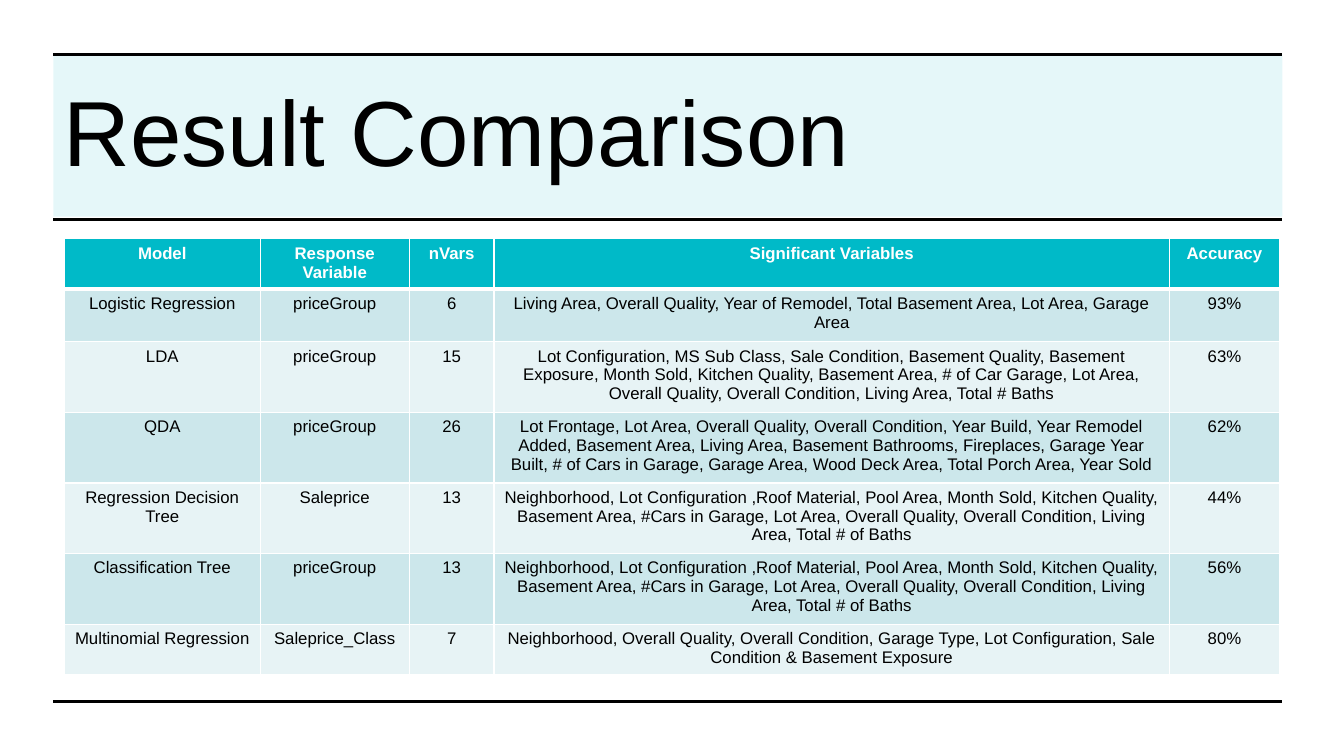
import lxml.etree
import pptx
import pptx.dml.color
import pptx.enum.shapes
import pptx.enum.text
import pptx.oxml.ns
import pptx.util

Inches = pptx.util.Inches
Pt = pptx.util.Pt
qn = pptx.oxml.ns.qn

COLORS = {
    "white": "FFFFFF",
    "black": "000000",
    "teal": "00BAC8",
    "band_dark": "CCE7EB",
    "band_light": "E7F3F5",
}
FONT = "Arial"

TREE_VARIABLES = (
    "Neighborhood, Lot Configuration ,Roof Material, Pool Area, Month Sold, Kitchen Quality, "
    "Basement Area, #Cars in Garage, Lot Area, Overall Quality, Overall Condition, Living Area, "
    "Total # of Baths"
)
RESULTS = [
    ("Model", "Response Variable", "nVars", "Significant Variables", "Accuracy"),
    ("Logistic Regression", "priceGroup", "6",
     "Living Area, Overall Quality, Year of Remodel, Total Basement Area, Lot Area, Garage Area",
     "93%"),
    ("LDA", "priceGroup", "15",
     "Lot Configuration, MS Sub Class, Sale Condition, Basement Quality, Basement Exposure, "
     "Month Sold, Kitchen Quality, Basement Area, # of Car Garage, Lot Area, Overall Quality, "
     "Overall Condition, Living Area, Total # Baths",
     "63%"),
    ("QDA", "priceGroup", "26",
     "Lot Frontage, Lot Area, Overall Quality, Overall Condition, Year Build, Year Remodel Added, "
     "Basement Area, Living Area, Basement Bathrooms, Fireplaces, Garage Year Built, "
     "# of Cars in Garage, Garage Area, Wood Deck Area, Total Porch Area, Year Sold",
     "62%"),
    ("Regression Decision Tree", "Saleprice", "13", TREE_VARIABLES, "44%"),
    ("Classification Tree", "priceGroup", "13", TREE_VARIABLES, "56%"),
    ("Multinomial Regression", "Saleprice_Class", "7",
     "Neighborhood, Overall Quality, Overall Condition, Garage Type, Lot Configuration, "
     "Sale Condition & Basement Exposure",
     "80%"),
]
COLUMN_WIDTHS = [1.94, 1.48, 0.84, 6.7, 1.09]
ROW_HEIGHTS = [0.47, 0.52, 0.66, 0.66, 0.66, 0.66, 0.49]


def rgb(name):
    return pptx.dml.color.RGBColor.from_string(COLORS[name])


class SlideBuilder:
    def __init__(self, slide):
        self.slide = slide

    def style_run(self, r, size, color, bold=False):
        r.font.name = FONT
        r.font.size = Pt(size)
        r.font.bold = bold
        r.font.color.rgb = rgb(color)

    def rectangle(self, left, top, width, height, color, opacity=100):
        sp = self.slide.shapes.add_shape(
            pptx.enum.shapes.MSO_SHAPE.RECTANGLE,
            Inches(left), Inches(top), Inches(width), Inches(height))
        sp.shadow.inherit = False
        sp.line.fill.background()
        sp.fill.solid()
        sp.fill.fore_color.rgb = rgb(color)
        if opacity < 100:
            clr = sp.element.spPr.find(qn("a:solidFill"))[0]
            lxml.etree.SubElement(clr, qn("a:alpha"), val=str(opacity * 1000))

    def title(self, text, left, top, width, height):
        sp = self.slide.shapes.add_textbox(
            Inches(left), Inches(top), Inches(width), Inches(height))
        tf = sp.text_frame
        tf.word_wrap = True
        tf.vertical_anchor = pptx.enum.text.MSO_ANCHOR.MIDDLE
        tf.text = text
        p = tf.paragraphs[0]
        p.line_spacing = 0.9
        self.style_run(p.runs[0], 66, "black")

    def rule(self, left, right, y):
        line = self.slide.shapes.add_connector(
            pptx.enum.shapes.MSO_CONNECTOR.STRAIGHT,
            Inches(left), Inches(y), Inches(right), Inches(y))
        line.line.color.rgb = rgb("black")
        line.line.width = Pt(2.25)
        lxml.etree.SubElement(line.element.spPr, qn("a:effectLst"))

    def borders(self, cell, widths):
        tcPr = cell._tc.get_or_add_tcPr()
        for i, (side, width) in enumerate(widths.items()):
            ln = lxml.etree.Element(qn("a:" + side), w=str(Pt(width)))
            fill = lxml.etree.SubElement(ln, qn("a:solidFill"))
            lxml.etree.SubElement(fill, qn("a:srgbClr"), val=COLORS["white"])
            tcPr.insert(i, ln)

    def table(self, rows, left, top, widths, heights):
        frame = self.slide.shapes.add_table(
            len(rows), len(widths), Inches(left), Inches(top),
            Inches(sum(widths)), Inches(sum(heights)))
        table = frame.table
        for column, width in zip(table.columns, widths):
            column.width = Inches(width)
        for i, (row, height) in enumerate(zip(rows, heights)):
            table.rows[i].height = Inches(height)
            header = i == 0
            fill = "teal" if header else "band_dark" if i % 2 else "band_light"
            edges = {"lnL": 1, "lnR": 1, "lnT": 3 if i == 1 else 1, "lnB": 3 if header else 1}
            for j, text in enumerate(row):
                cell = table.cell(i, j)
                cell.text_frame.text = text
                p = cell.text_frame.paragraphs[0]
                p.alignment = pptx.enum.text.PP_ALIGN.CENTER
                self.style_run(p.runs[0], 12, "white" if header else "black", header)
                cell.fill.solid()
                cell.fill.fore_color.rgb = rgb(fill)
                self.borders(cell, edges)


def main():
    prs = pptx.Presentation()
    prs.slide_width = Inches(13.33)
    prs.slide_height = Inches(7.5)
    s = SlideBuilder(prs.slides.add_slide(prs.slide_layouts[6]))
    s.rectangle(0, 0, 13.33, 7.5, "white")
    s.rectangle(0.53, 0.54, 12.19, 1.61, "teal", opacity=10)
    s.title("Result Comparison", 0.53, 0.79, 11.83, 1.12)
    for y in (0.54, 2.18, 6.96):
        s.rule(0.53, 12.72, y)
    s.table(RESULTS, 0.64, 2.37, COLUMN_WIDTHS, ROW_HEIGHTS)
    prs.save("out.pptx")


if __name__ == "__main__":
    main()
